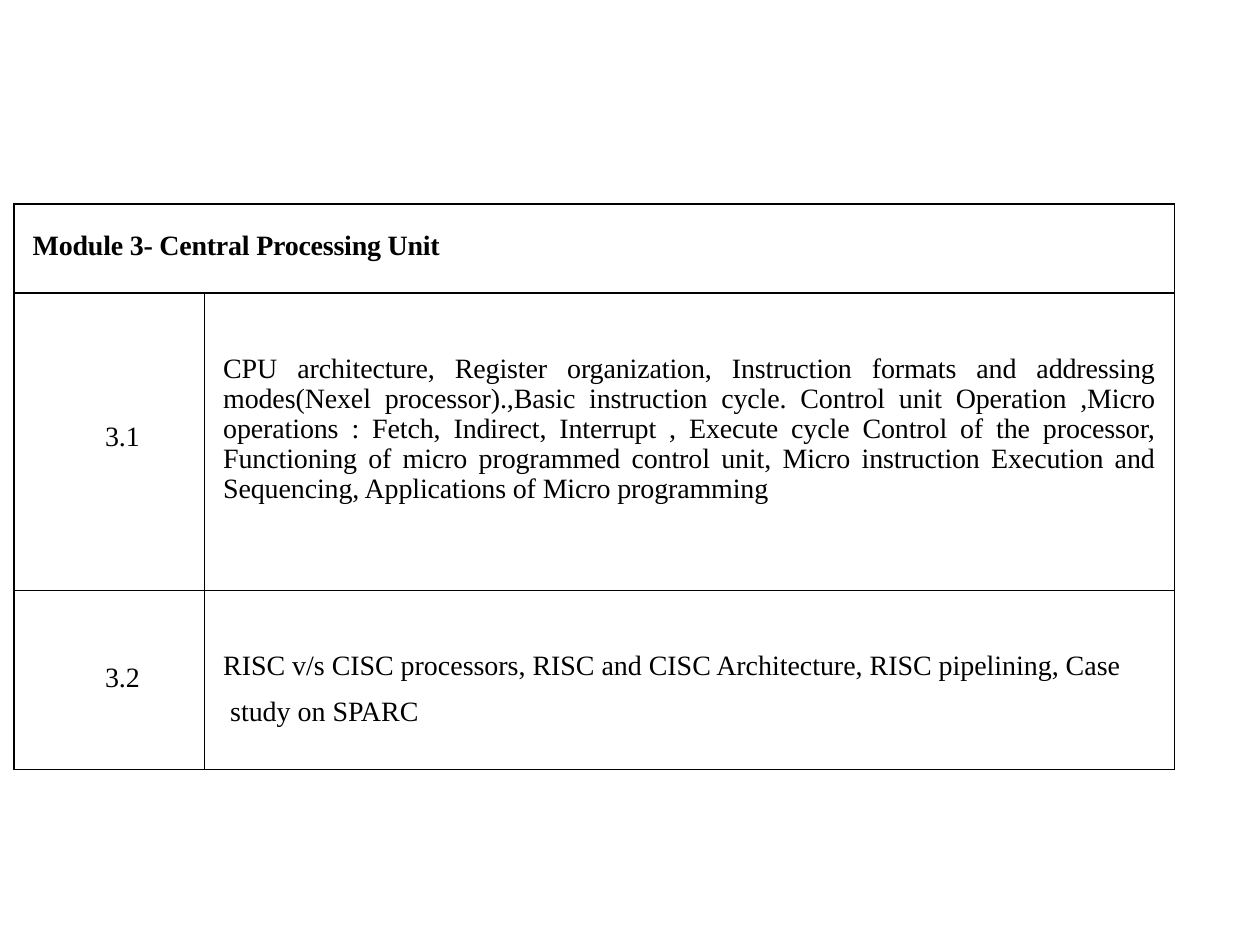
from lxml import etree
from pptx import Presentation, util as u
from pptx.dml.color import RGBColor
from pptx.enum import text
from pptx.oxml.ns import qn

BLACK = "000000"
LEFT, RIGHT, JUST = (text.PP_ALIGN.LEFT, text.PP_ALIGN.RIGHT,
                     text.PP_ALIGN.JUSTIFY)


def write(cell, words, top, left=0.38, right=0, align=LEFT, bold=False,
          lead=1.0, track=0):
    """Fill a cell; margins are in cm, track in hundredths of a point."""
    cell.margin_top, cell.margin_bottom = u.Cm(top), 0
    cell.margin_left, cell.margin_right = u.Cm(left), u.Cm(right)
    para = cell.text_frame.paragraphs[0]
    para.text = words
    para.alignment, para.line_spacing = align, lead
    for run in para.runs:
        font = run.font
        font.name, font.size, font.bold = "Times New Roman", u.Pt(16), bold
        font.color.rgb = RGBColor.from_string(BLACK)
        run._r.get_or_add_rPr().set("spc", str(track))


def frame(cell):
    """Clear the fill and draw a 1 pt line on all four sides."""
    props = cell._tc.get_or_add_tcPr()
    for side in ("a:lnL", "a:lnR", "a:lnT", "a:lnB"):
        line = etree.SubElement(props, qn(side), w=str(u.Pt(1)))
        fill = etree.SubElement(line, qn("a:solidFill"))
        etree.SubElement(fill, qn("a:srgbClr"), val=BLACK)
    cell.fill.background()


deck = Presentation()
deck.slide_width, deck.slide_height = u.Cm(25.4), u.Cm(19.05)
slide = deck.slides.add_slide(deck.slide_layouts[6])

wide, high = [3.84, 19.56], [1.8, 5.99, 3.61]
table = slide.shapes.add_table(
    len(high), len(wide), u.Cm(0.28), u.Cm(4.11),
    u.Cm(sum(wide)), u.Cm(sum(high))).table
table.first_row = table.horz_banding = False
for col, size in zip(table.columns, wide):
    col.width = u.Cm(size)
for row, size in zip(table.rows, high):
    row.height = u.Cm(size)
for cell in table.iter_cells():
    frame(cell)

head = table.cell(0, 0)
head.merge(table.cell(0, 1))
write(head, "Module 3- Central Processing Unit", 0.54, bold=True, track=-10)

for row, (label, top) in enumerate([("3.1", 2.59), ("3.2", 1.45)], 1):
    write(table.cell(row, 0), label, top, right=1.3, align=RIGHT)

write(table.cell(1, 1),
      "CPU architecture, Register organization, Instruction formats and "
      "addressing modes(Nexel processor).,Basic instruction cycle. Control "
      "unit Operation ,Micro operations : Fetch, Indirect, Interrupt , "
      "Execute cycle Control of the processor, Functioning of micro "
      "programmed control unit, Micro instruction Execution and Sequencing, "
      "Applications of Micro programming",
      1.24, right=0.38, align=JUST, lead=0.96, track=-5)
write(table.cell(2, 1),
      "RISC v/s CISC processors, RISC and CISC Architecture, RISC "
      "pipelining, Case\v study on SPARC", 0.93, lead=1.46)

deck.save("out.pptx")
